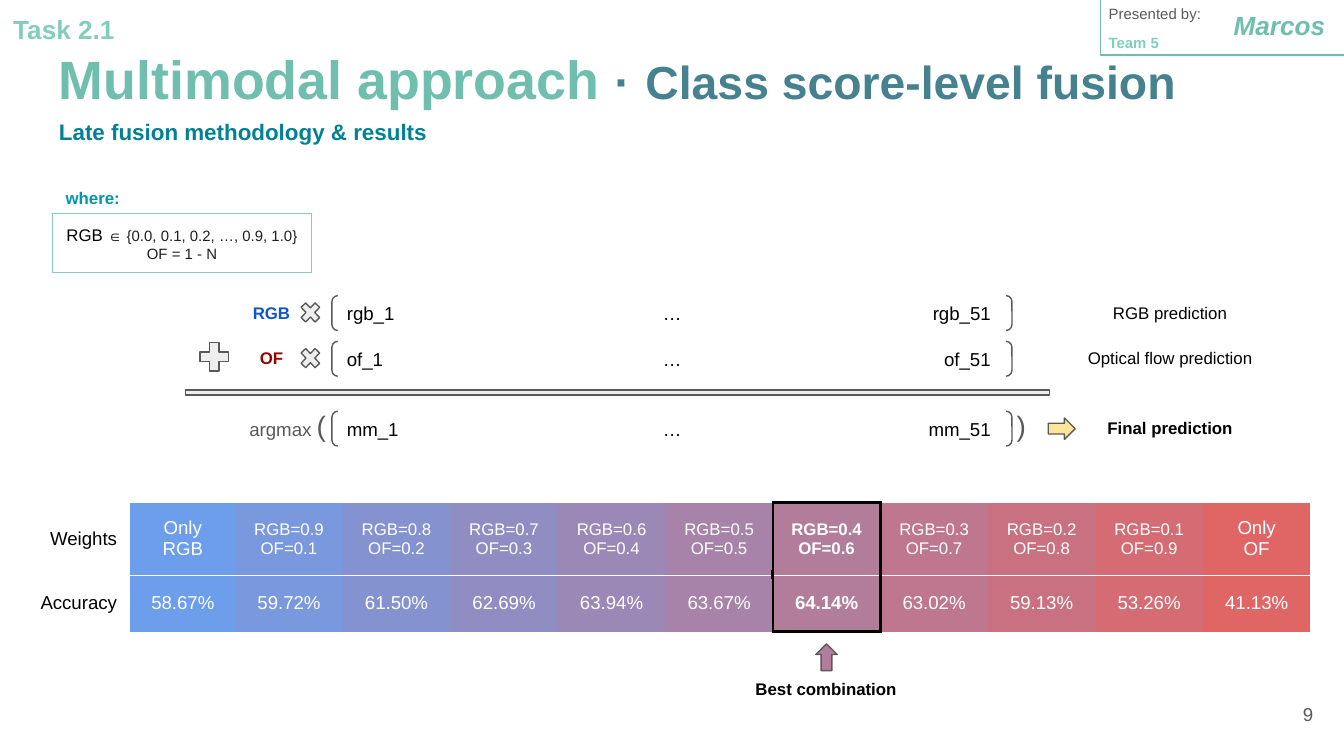
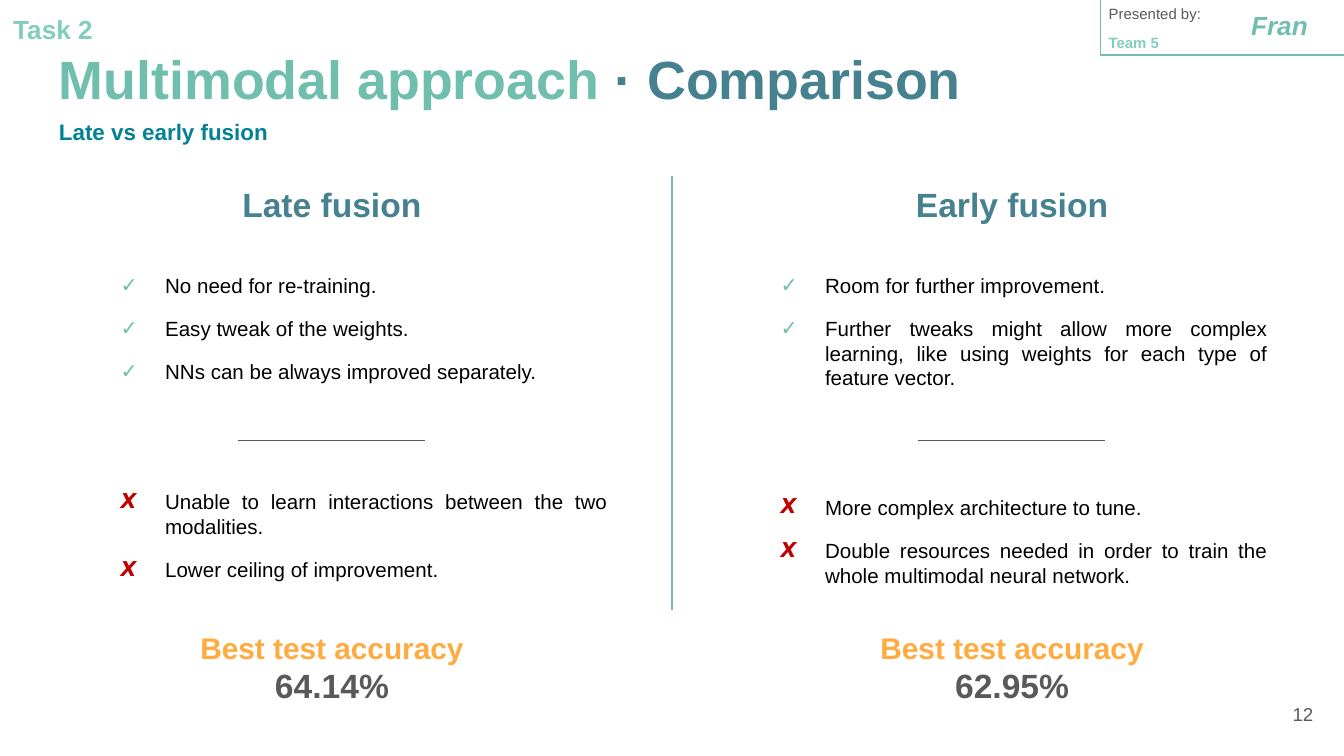
import lxml.etree
import pptx
import pptx.dml.color
import pptx.enum.shapes
import pptx.enum.text
import pptx.oxml.ns
import pptx.util

Inches = pptx.util.Inches
Pt = pptx.util.Pt
SHAPE = pptx.enum.shapes.MSO_SHAPE
ALIGN = pptx.enum.text.PP_ALIGN
ANCHOR = pptx.enum.text.MSO_ANCHOR
qn = pptx.oxml.ns.qn

FONT = "Arial"
MINT, PALE_MINT, SLATE, TEAL = "6FBEAE", "83CDBE", "45818E", "038194"
BLACK, WHITE, GREY, LIGHT = "000000", "FFFFFF", "595959", "EEEEEE"
BLUE, RED, MAUVE = "6D9EEB", "E06666", "B27C9B"
NO_TABLE_STYLE = "{2D5ABB26-0587-4C30-8999-92F81FD0307C}"


def rgb(color):
    return pptx.dml.color.RGBColor.from_string(color)


def add_xml(parent, tag, **attributes):
    return lxml.etree.SubElement(parent, qn(tag), **attributes)


def blend(start, end, share):
    """Mix two hex colours."""
    channels = [(int(start[i:i + 2], 16), int(end[i:i + 2], 16)) for i in (0, 2, 4)]
    return "".join(f"{int(a + (b - a) * share + 0.5):02X}" for a, b in channels)


class Deck:
    """Holds the shared style and the current slide."""

    def __init__(self):
        self.presentation = pptx.Presentation()
        self.presentation.slide_width = Inches(10)
        self.presentation.slide_height = Inches(5.625)
        self.slide = None

    def new_slide(self, task, title, subtitle, presenter, number):
        self.slide = self.presentation.slides.add_slide(self.presentation.slide_layouts[6])
        # Title area
        self.text((0.34, 0.24, 9.32, 0.63),
                  [[("Multimodal approach ", 28.8, MINT, True)] + title],
                  ALIGN.LEFT, ANCHOR.TOP)
        self.label((0, 0, 1.93, 0.44), task, 14, PALE_MINT, True, ALIGN.LEFT, ANCHOR.TOP)
        self.label((0.34, 0.78, 5.65, 0.44), subtitle, 12, TEAL, True, ALIGN.LEFT, ANCHOR.TOP)
        # Presenter badge
        self.shape(SHAPE.RECTANGLE, (8.19, -0.02, 1.84, 0.43), None, MINT)
        self.label((8.15, 0.02, 1.12, 0.16), "Presented by:", 8, GREY, align=ALIGN.LEFT)
        self.text((9.04, -0.03, 0.96, 0.44), [[(presenter, 14, MINT, True, True)]],
                  anchor=ANCHOR.TOP)
        self.label((8.15, 0.24, 1.84, 0.16), "Team 5", 8, PALE_MINT, True, ALIGN.LEFT)
        # Page number
        self.label((9.27, 5.1, 0.6, 0.43), number, 10, GREY, align=ALIGN.RIGHT)

    def format_run(self, run, size, color, bold=False, italic=False):
        run.font.name = FONT
        run.font.size = Pt(size)
        run.font.color.rgb = rgb(color)
        run.font.bold = bold
        run.font.italic = italic

    def fill_frame(self, frame, paragraphs, align):
        """Write paragraphs, each a list of (text, size, colour, bold, italic)."""
        for index, runs in enumerate(paragraphs):
            paragraph = frame.add_paragraph() if index else frame.paragraphs[0]
            paragraph.alignment = align
            for words, *style in runs:
                run = paragraph.add_run()
                run.text = words
                self.format_run(run, *style)

    def set_frame(self, frame, anchor):
        frame.word_wrap = True
        frame.vertical_anchor = anchor
        frame.margin_left = frame.margin_right = Inches(0.1)
        frame.margin_top = frame.margin_bottom = Inches(0.1)

    def text(self, place, paragraphs, align=ALIGN.CENTER, anchor=ANCHOR.MIDDLE):
        box = self.slide.shapes.add_textbox(*map(Inches, place))
        self.set_frame(box.text_frame, anchor)
        self.fill_frame(box.text_frame, paragraphs, align)

    def label(self, place, words, size, color, bold=False,
              align=ALIGN.CENTER, anchor=ANCHOR.MIDDLE):
        self.text(place, [[(words, size, color, bold)]], align, anchor)

    def shape(self, kind, place, fill, line, adjustment=None, rotation=0):
        shape = self.slide.shapes.add_shape(kind, *map(Inches, place))
        shape.shadow.inherit = False
        shape.rotation = rotation
        if adjustment is not None:
            shape.adjustments[0] = adjustment
        if fill:
            shape.fill.solid()
            shape.fill.fore_color.rgb = rgb(fill)
        else:
            shape.fill.background()
        shape.line.color.rgb = rgb(line)
        shape.line.width = Pt(0.75)
        self.set_frame(shape.text_frame, ANCHOR.MIDDLE)
        return shape

    def line(self, start, end, color, width=0.75):
        connector = self.slide.shapes.add_connector(
            pptx.enum.shapes.MSO_CONNECTOR.STRAIGHT, *map(Inches, start + end))
        connector.line.color.rgb = rgb(color)
        connector.line.width = Pt(width)
        add_xml(connector._element.spPr, "a:effectLst")

    def vector(self, top, name):
        """Bracketed row running from the first to the last class score."""
        shape = self.shape(SHAPE.DOUBLE_BRACKET, (2.47, top, 5.06, 0.26), None, GREY)
        paragraph = shape.text_frame.paragraphs[0]
        tabs = add_xml(paragraph._p.get_or_add_pPr(), "a:tabLst")
        for position, align in ((2.42, "ctr"), (4.79, "r")):
            add_xml(tabs, "a:tab", pos=str(Inches(position)), algn=align)
        paragraph.text = f"{name}_1\t…\t{name}_51"
        paragraph.alignment = ALIGN.LEFT
        for run in paragraph.runs:
            self.format_run(run, 10, BLACK)

    def bullets(self, left, top, height, items, mark, color):
        box = self.slide.shapes.add_textbox(*map(Inches, (left, top, 3.99, height)))
        frame = box.text_frame
        self.set_frame(frame, ANCHOR.TOP)
        self.fill_frame(frame, [[(item, 11, BLACK)] for item in items], ALIGN.JUSTIFY)
        for index, paragraph in enumerate(frame.paragraphs):
            if index:
                paragraph.space_before = Pt(10)
            properties = paragraph._p.get_or_add_pPr()
            properties.set("marL", str(Inches(0.5)))
            properties.set("indent", str(Inches(-0.33)))
            add_xml(add_xml(properties, "a:buClr"), "a:srgbClr", val=color)
            add_xml(properties, "a:buFont", typeface=FONT)
            add_xml(properties, "a:buChar", char=mark)

    def cell(self, cell, lines, size, color, bold, align, fill, borders):
        properties = cell._tc.get_or_add_tcPr()
        for side in "LRTB":
            border_color, width = borders.get(side, (None, 0.75))
            border = add_xml(properties, f"a:ln{side}", w=str(Pt(width)))
            if border_color:
                add_xml(add_xml(border, "a:solidFill"), "a:srgbClr", val=border_color)
            else:
                add_xml(border, "a:noFill")
        if fill:
            cell.fill.solid()
            cell.fill.fore_color.rgb = rgb(fill)
        else:
            cell.fill.background()
        cell.vertical_anchor = ANCHOR.MIDDLE
        cell.margin_left = cell.margin_right = Inches(0.1)
        cell.margin_top = cell.margin_bottom = Inches(0.1)
        self.fill_frame(cell.text_frame, [[(words, size, color, bold)] for words in lines], align)

    def weights_table(self, accuracies, best):
        """Weights above accuracies, shaded from RGB only to optical flow only."""
        last = len(accuracies) - 1
        widths = [0.88, 0.78] + [0.8] * last
        frame = self.slide.shapes.add_table(2, len(widths), Inches(0.09), Inches(3.74),
                                            Inches(sum(widths)), Inches(0.96))
        table = frame.table
        table.first_row = table.horz_banding = False
        table._tbl.tblPr.find(qn("a:tableStyleId")).text = NO_TABLE_STYLE
        for column, width in zip(table.columns, widths):
            column.width = Inches(width)
        for row, height in zip(table.rows, (0.54, 0.42)):
            row.height = Inches(height)

        thin, thick = (WHITE, 0.75), (BLACK, 1.5)
        for row, (heading, inner, outer) in enumerate((("Weights", "B", "T"),
                                                       ("Accuracy", "T", "B"))):
            self.cell(table.cell(row, 0), [heading], 10, BLACK, False, ALIGN.RIGHT,
                      None, {inner: thin})
            for step, accuracy in enumerate(accuracies):
                borders = {inner: thin}
                if step == best:
                    borders.update({"L": thick, "R": thick, outer: thick})
                elif abs(step - best) == 1:
                    borders["R" if step < best else "L"] = thick
                size = 10
                if row == 1:
                    lines = [f"{accuracy:.2f}%"]
                elif step in (0, last):
                    lines = ["Only", "OF" if step else "RGB"]
                else:
                    lines = [f"RGB={1 - step / last:.1f}", f"OF={step / last:.1f}"]
                    size = 9
                self.cell(table.cell(row, step + 1), lines, size, WHITE, step == best,
                          ALIGN.CENTER, blend(BLUE, RED, step / last), borders)

    def comparison(self, center, heading, accuracy, pros, cons, cons_top):
        """One half of the comparison slide."""
        left = center - 1.64
        self.label((left, 1.27, 3.28, 0.5), heading, 18, SLATE, True)
        self.line((center - 0.7, 3.28), (center + 0.69, 3.28), GREY)
        list_left = 0.63 if center < 5 else 5.54
        self.bullets(list_left, 1.93, 1.2, pros, "✓", MINT)
        self.bullets(list_left, cons_top, 0.9, cons, "𝞦", "C00000")
        self.text((left, 4.65, 3.28, 0.63), [[("Best test accuracy", 16, "FFAB40", True)],
                                             [(accuracy, 18, GREY, True)]])


def fusion_slide(deck):
    deck.new_slide("Task 2.1",
                   [("·", 25.8, SLATE, True), (" ", 28.8, SLATE, True),
                    ("Class score-level fusion", 24.8, SLATE, True)],
                   "Late fusion methodology & results", "Marcos", "9")

    # Definition of the weights
    deck.label((0.39, 1.35, 1.61, 0.25), "where:", 9, "0097A7", True, ALIGN.LEFT)
    definition = deck.shape(SHAPE.RECTANGLE, (0.39, 1.59, 1.93, 0.44), None, PALE_MINT)
    deck.fill_frame(definition.text_frame,
                    [[("RGB ", 9, BLACK), ("∈ {0.0, 0.1, 0.2, …, 0.9, 1.0}", 8, "1F1F1F")],
                     [("OF = 1 - N", 8, "1F1F1F")]], ALIGN.CENTER)

    # Weighted sum of both predictions
    for top, weight, color, name, meaning in (
            (2.2, "RGB", "1155CC", "rgb", "RGB prediction"),
            (2.54, "OF", "990000", "of", "Optical flow prediction")):
        deck.label((1.67, top, 0.7, 0.25), weight, 9, color, True)
        deck.shape(SHAPE.MATH_MULTIPLY, (2.21, top + 0.02, 0.2, 0.21), LIGHT, GREY, 0.235)
        deck.vector(top, name)
        deck.label((7.9, top, 1.61, 0.25), meaning, 9, BLACK)
    deck.shape(SHAPE.MATH_PLUS, (1.45, 2.51, 0.29, 0.29), LIGHT, GREY, 0.235)
    deck.shape(SHAPE.MATH_MINUS, (0.22, 2.84, 8.75, 0.16), LIGHT, GREY, 0.235)

    # Final prediction
    deck.vector(3.06, "mm")
    deck.text((1.74, 2.98, 0.8, 0.37), [[("argmax ", 10, GREY), ("(", 15, GREY)]])
    deck.label((7.2, 2.98, 0.8, 0.37), ")", 15, GREY)
    deck.shape(SHAPE.RIGHT_ARROW, (7.8, 3.11, 0.2, 0.16), "FFE599", GREY)
    deck.label((7.9, 3.06, 1.61, 0.25), "Final prediction", 9, BLACK, True)

    # Results
    deck.weights_table([58.67, 59.72, 61.50, 62.69, 63.94, 63.67,
                        64.14, 63.02, 59.13, 53.26, 41.13], best=6)
    for edge in (5.75, 6.55):
        deck.line((edge, 4.24), (edge, 4.31), BLACK, 1.5)
    deck.shape(SHAPE.RIGHT_ARROW, (6.05, 4.81, 0.2, 0.16), MAUVE, GREY, rotation=270)
    deck.label((5.34, 5, 1.61, 0.25), "Best combination", 9, BLACK, True)


def comparison_slide(deck):
    deck.new_slide("Task 2", [("· Comparison", 28.8, SLATE, True)],
                   "Late vs early fusion", "Fran", "12")
    deck.line((5, 1.31), (5, 4.54), MINT)
    deck.comparison(2.47, "Late fusion", "64.14%",
                    ["No need for re-training.",
                     "Easy tweak of the weights.",
                     "NNs can be always improved separately."],
                    ["Unable to learn interactions between the two modalities.",
                     "Lower ceiling of improvement."], 3.54)
    deck.comparison(7.53, "Early fusion", "62.95%",
                    ["Room for further improvement.",
                     "Further tweaks might allow more complex learning, "
                     "like using weights for each type of feature vector."],
                    ["More complex architecture to tune.",
                     "Double resources needed in order to train the whole "
                     "multimodal neural network."], 3.58)


def main():
    deck = Deck()
    fusion_slide(deck)
    comparison_slide(deck)
    deck.presentation.save("out.pptx")


if __name__ == "__main__":
    main()
